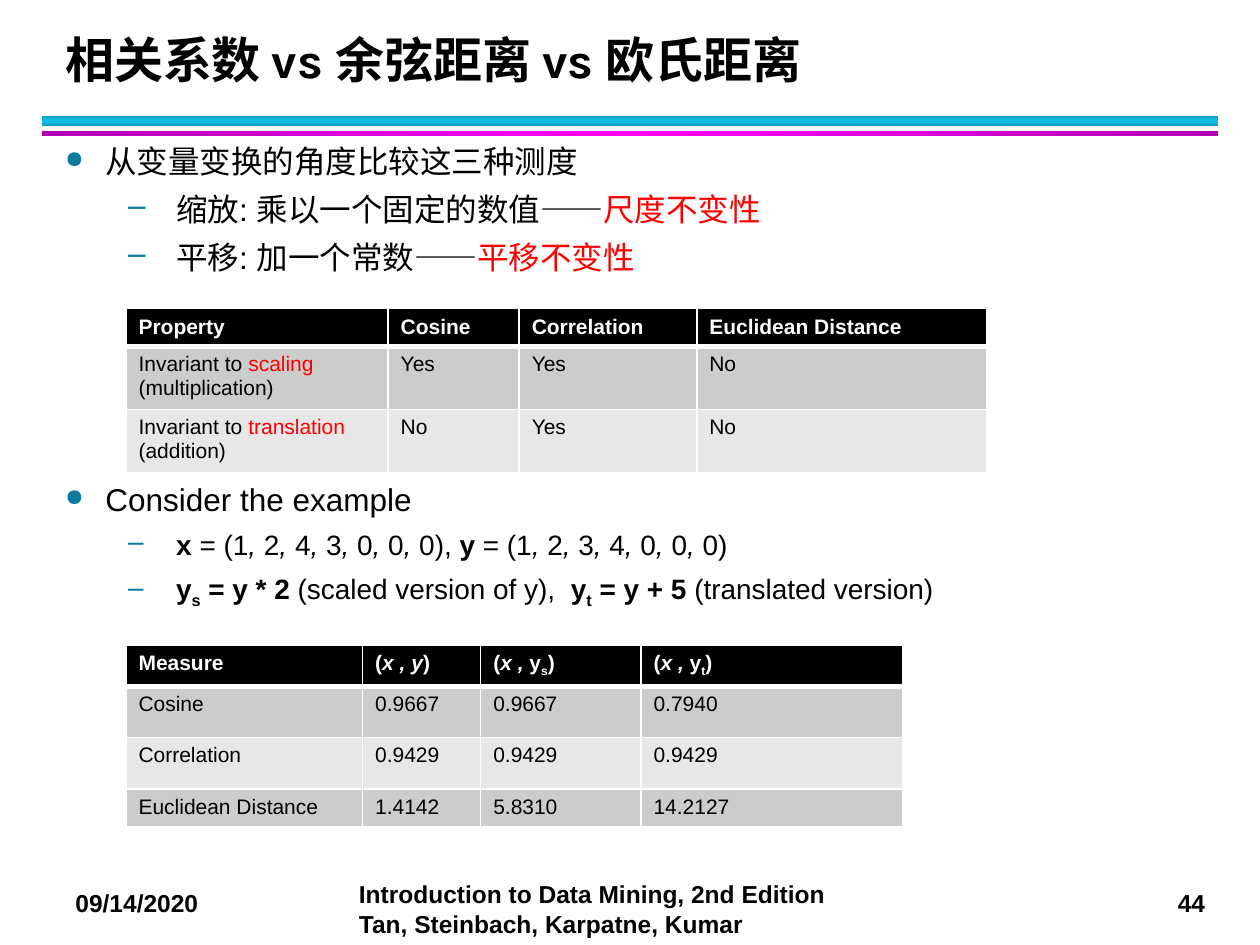
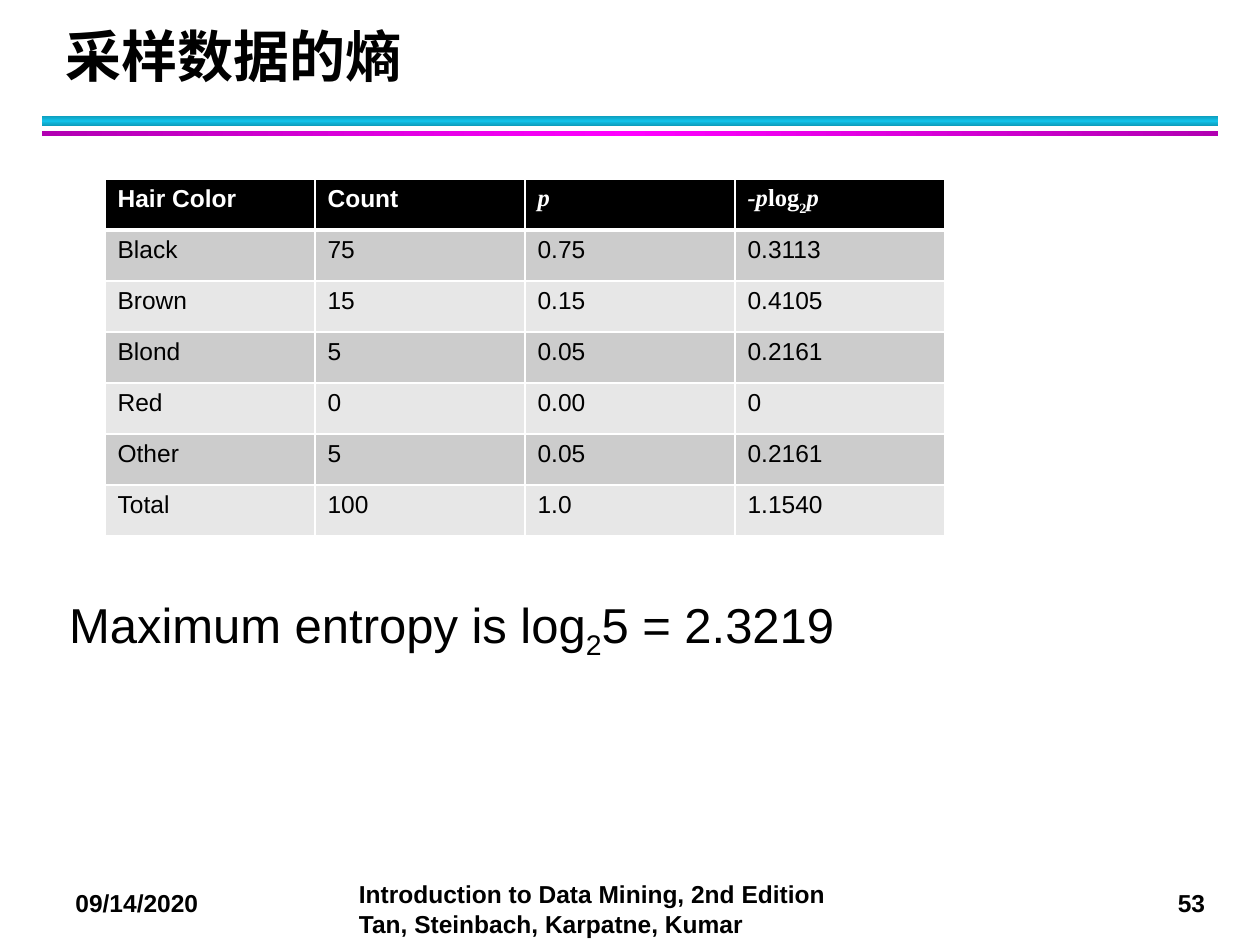
from copy import deepcopy
from lxml.etree import SubElement
from pptx import Presentation
from pptx.dml.color import RGBColor
from pptx.enum.shapes import MSO_SHAPE
from pptx.enum.text import MSO_ANCHOR
from pptx.oxml.ns import qn
from pptx.util import Pt

# Shared look
HUES = {
    "ink": "000000", "paper": "FFFFFF", "red": "FF0000", "mark": "0C7B9C",
    "odd": "CCCCCC", "even": "E7E7E7", "teal": "0E9BBA", "cyan": "12C2E9",
    "plum": "B200B2", "pink": "FF00FF",
}
BANDS = [(66.2, 5.9, "teal", "cyan", 90), (74.9, 2.9, "plum", "pink", 0)]
BULLETS = [("●", 75, 23, -23), ("–", 100, 63.4, -27.4)]  # char, size %, left, hang
FOOT = "Introduction to Data Mining, 2nd Edition Tan, Steinbach, Karpatne, Kumar"


def write(para, text, size, hue="ink", bold=False, face="Arial"):
    """Parts are split by ^; marks before | are b, i, s (subscript), r (red), t (Times)."""
    for part in text.split("^"):
        marks, _, words = part.rpartition("|")
        run = para.add_run()
        run.text = words
        style = {
            "size": Pt(size),
            "name": "Times New Roman" if "t" in marks else face,
            "bold": bold or "b" in marks,
            "italic": "i" in marks,
        }
        for key, value in style.items():
            setattr(run.font, key, value)
        run.font.color.rgb = RGBColor.from_string(HUES["red" if "r" in marks else hue])
        if "s" in marks:
            run.font._element.set("baseline", "-25000")


def frame(slide, left, top, width, height, wrap=True):
    text = slide.shapes.add_textbox(Pt(left), Pt(top), Pt(width), Pt(height)).text_frame
    text.word_wrap = wrap
    return text


# Content
comma = "^i|, ^"
x, y = comma.join("1243000"), comma.join("1234000")

PAGES = [
    {
        "title": "相关系数 vs 余弦距离 vs 欧氏距离", "size": 28, "page": "44",
        "texts": [
            (30.2, 77.8, 90, [
                (0, 18, "从变量变换的角度比较这三种测度"),
                (1, 18, "缩放: 乘以一个固定的数值——^r|尺度不变性"),
                (1, 18, "平移: 加一个常数——^r|平移不变性"),
            ]),
            (30.2, 271, 85, [
                (0, 18, "Consider the example"),
                (1, 16, f"b|x ^= ({x}), ^b|y ^= ({y})"),
                (1, 16, "b|y^bs|s^b| = y * 2 ^(scaled version of y),  "
                        "^b|y^bs|t^b| = y + 5 ^(translated version)"),
            ]),
        ],
        "tables": [
            (72, 176.4, 12, [149.8, 74.9, 101.5, 165.6], [21, 33.5, 33.5], [
                ["Property", "Cosine", "Correlation", "Euclidean Distance"],
                ["Invariant to ^r|scaling^ (multiplication)", "Yes", "Yes", "No"],
                ["Invariant to ^r|translation^ (addition)", "No", "Yes", "No"],
            ]),
            (72, 368.6, 12, [135.2, 67.5, 91.6, 149.6], [22.2, 29.3, 29.3, 20.4], [
                ["Measure", "(^i|x , y^)", "(^i|x , ^y^s|s^)", "(^i|x , ^y^s|t^)"],
                ["Cosine", "0.9667", "0.9667", "0.7940"],
                ["Correlation", "0.9429", "0.9429", "0.9429"],
                ["Euclidean Distance", "1.4142", "5.8310", "14.2127"],
            ]),
        ],
    },
    {
        "title": "采样数据的熵", "size": 32, "page": "53",
        "texts": [(32.4, 336, 45, [(None, 28, "Maximum entropy is log^s|2^5 = 2.3219")])],
        "tables": [
            (60, 102.2, 14, [120] * 4, [29.15] * 7, [
                ["Hair Color", "Count", "it|p", "it|-p^t|log^ts|2^it|p"],
                ["Black", "75", "0.75", "0.3113"],
                ["Brown", "15", "0.15", "0.4105"],
                ["Blond", "5", "0.05", "0.2161"],
                ["Red", "0", "0.00", "0"],
                ["Other", "5", "0.05", "0.2161"],
                ["Total", "100", "1.0", "1.1540"],
            ]),
        ],
    },
]

deck = Presentation()
deck.slide_width, deck.slide_height = Pt(720), Pt(540)

for page in PAGES:
    slide = deck.slides.add_slide(deck.slide_layouts[6])

    # Gradient bands
    for top, height, edge, core, angle in BANDS:
        band = slide.shapes.add_shape(
            MSO_SHAPE.RECTANGLE, Pt(24), Pt(top), Pt(672), Pt(height))
        band.shadow.inherit = False
        band.line.fill.background()
        band.fill.gradient()
        band.fill.gradient_angle = angle
        for stop, spot, hue in zip(band.fill.gradient_stops, (0, 0.5), (edge, core)):
            stop.position = spot
            stop.color.rgb = RGBColor.from_string(HUES[hue])
        stops = band._element.spPr.find(qn("a:gradFill")).find(qn("a:gsLst"))
        last = deepcopy(stops[0])
        last.set("pos", "100000")
        stops.append(last)

    # Footer
    for left, top, width, height, text, wrap in [
        (36, 504, 96, 24.5, "09/14/2020", True),
        (666, 504, 31.7, 24.5, page["page"], False),
        (198, 499, 294, 41, FOOT, True),
    ]:
        write(frame(slide, left, top, width, height, wrap).paragraphs[0],
              text, 14, bold=True)

    # Title
    head = frame(slide, 30.2, 12.2, 652.3, 41.8)
    head.vertical_anchor = MSO_ANCHOR.BOTTOM
    head.paragraphs[0].line_spacing = Pt(36)
    write(head.paragraphs[0], page["title"], page["size"], bold=True, face="Karla")

    # Body text
    for left, top, height, lines in page["texts"]:
        body = frame(slide, left, top, 655, height)
        for row, (level, size, text) in enumerate(lines):
            para = body.add_paragraph() if row else body.paragraphs[0]
            if level is not None:
                char, scale, indent, hang = BULLETS[level]
                props = para._p.get_or_add_pPr()
                props.set("marL", str(Pt(indent)))
                props.set("indent", str(Pt(hang)))
                tint = SubElement(props, qn("a:buClr"))
                SubElement(tint, qn("a:srgbClr"), val=HUES["mark"])
                SubElement(props, qn("a:buSzPct"), val=str(scale * 1000))
                SubElement(props, qn("a:buChar"), char=char)
                para.level = level
            if row:
                para.space_before = Pt(size / 10)
            para.space_after = Pt(4)
            write(para, text, size)

    # Tables
    for left, top, size, widths, heights, rows in page["tables"]:
        grid = slide.shapes.add_table(
            len(rows), len(widths), Pt(left), Pt(top),
            Pt(sum(widths)), Pt(sum(heights))).table
        for col, width in zip(grid.columns, widths):
            col.width = Pt(width)
        for r, (line, height) in enumerate(zip(rows, heights)):
            grid.rows[r].height = Pt(height)
            for c, text in enumerate(line):
                cell = grid.cell(r, c)
                props = cell._tc.get_or_add_tcPr()
                for side in "LRTB":
                    thick = (r, side) in [(0, "B"), (1, "T")]
                    edge = SubElement(props, qn(f"a:ln{side}"), w=str(Pt(3 if thick else 1)))
                    fill = SubElement(edge, qn("a:solidFill"))
                    SubElement(fill, qn("a:srgbClr"), val=HUES["paper"])
                cell.fill.solid()
                shade = "ink" if r == 0 else "odd" if r % 2 else "even"
                cell.fill.fore_color.rgb = RGBColor.from_string(HUES[shade])
                write(cell.text_frame.paragraphs[0], text, size,
                      "ink" if r else "paper", bold=r == 0)

deck.save("out.pptx")
